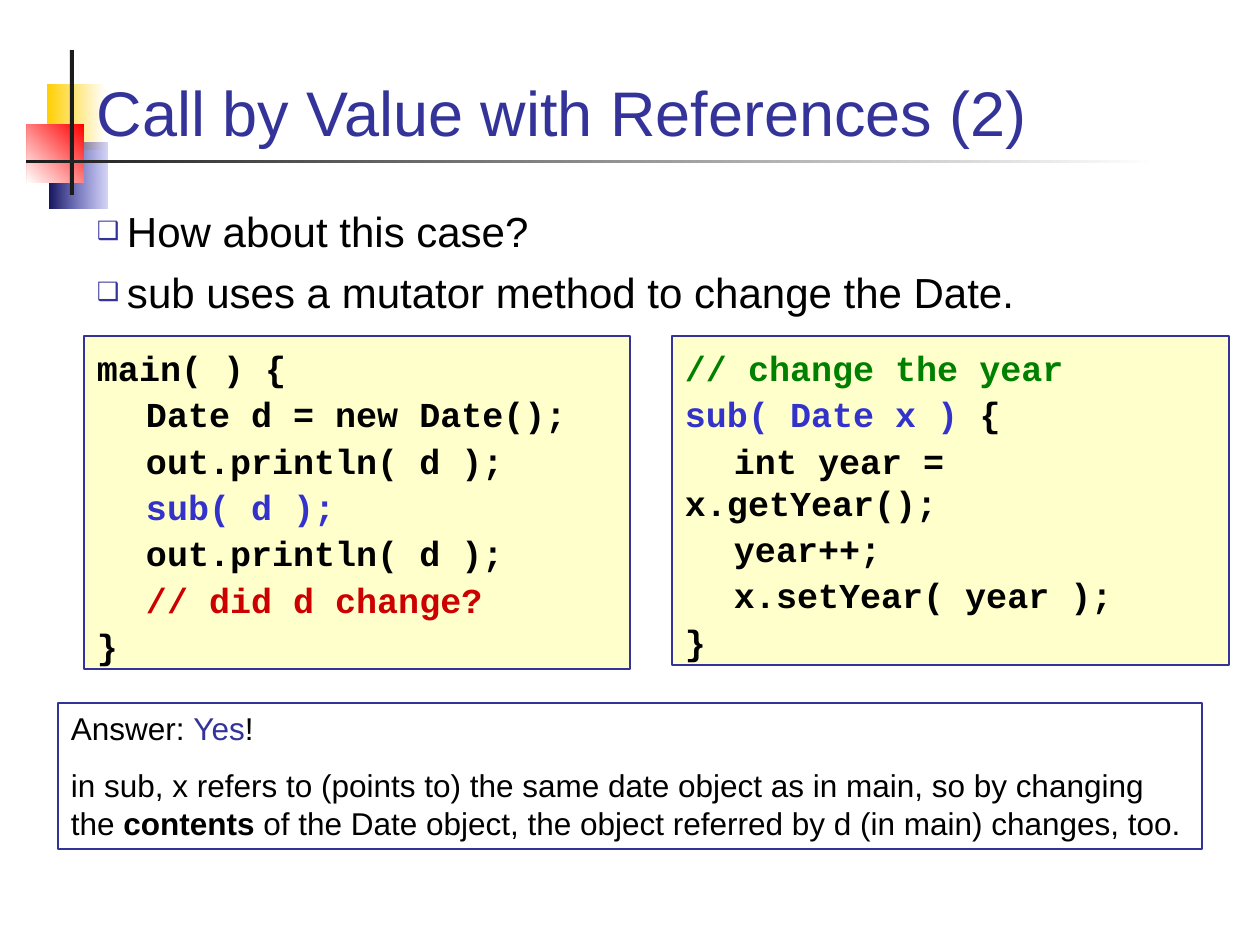
from lxml.etree import SubElement
from pptx import Presentation
from pptx.dml.color import RGBColor
from pptx.enum.shapes import MSO_SHAPE
from pptx.enum.text import MSO_ANCHOR, MSO_AUTO_SIZE, PP_ALIGN
from pptx.oxml.ns import qn
from pptx.util import Emu, Pt

THEME = {
    "navy": "333399", "black": "000000", "cream": "FFFFCC",
    "call": "3333CC", "comment": "008000", "question": "CC0000",
    "white": "FFFFFF", "gold": "FFCF01", "deep": "17175E",
    "red": "FF0000", "bar": "1C1C1C",
    "sans": "Arial", "mono": "Courier New",
    "title_size": 36, "body_size": 24, "code_size": 20, "answer_size": 18,
}
PX_PER_INCH = 126
SLIDE_SIZE = (1260, 945)
INSET_X, INSET_Y, INDENT, TAB = 13, 6, 30, 49

# A run is plain text, or (text, colour) or (text, colour, bold).
TITLE = [["Call by Value with References (2)"]]
BODY = [
    ["How about this case?"],
    ["sub uses a mutator method to change the Date."],
]
MAIN_CODE = [
    ["main( ) {"],
    ["\tDate d = new Date();"],
    ["\tout.println( d );"],
    ["\t", ("sub( d );", "call")],
    ["\tout.println( d );"],
    ["\t", ("// did d change?", "question")],
    ["}"],
]
SUB_CODE = [
    [("// change the year", "comment")],
    [("sub( Date x )", "call"), " {"],
    ["\tint year = x.getYear();"],
    ["\tyear++;"],
    ["\tx.setYear( year );"],
    ["}"],
]
ANSWER = [
    ["Answer: ", ("Yes", "navy"), "!"],
    ["in sub, x refers to (points to) the same date object as in main, so by changing the ",
     ("contents", "black", True),
     " of the Date object, the object referred by d (in main) changes, too."],
]

# Box, start colour, end colour, clockwise angle, opacity of the start in percent
ORNAMENTS = [
    ((47, 84, 59, 66), "white", "gold", 180, 100),
    ((49, 143, 58, 66), "call", "deep", 180, 20),
    ((27, 124, 57, 59), "red", "white", 135, 100),
    ((70, 50, 4, 145), "bar", "bar", 180, 100),
    ((26, 160, 1133, 3), "white", "bar", 180, 100),
]
CODE_STYLE = {"font": "mono", "size": "code_size", "bold": True, "gap": 2.5}
PANELS = [
    ((84, 336, 546, 333), "cream", MAIN_CODE, CODE_STYLE),
    ((672, 336, 557, 329), "cream", SUB_CODE, CODE_STYLE),
    ((58, 703, 1144, 146), None, ANSWER,
     {"font": "sans", "size": "answer_size", "gap": 11.2, "lead": 0}),
]


def px(length):
    return Emu(round(length * 914400 / PX_PER_INCH))


def colour(name):
    return RGBColor.from_string(THEME[name])


def place(shape, box):
    for side, length in zip(("left", "top", "width", "height"), box):
        setattr(shape, side, px(length))


def add_rectangle(slide, box):
    shape = slide.shapes.add_shape(MSO_SHAPE.RECTANGLE, *map(px, box))
    shape.shadow.inherit = False
    return shape


def add_ornament(slide, box, start, end, angle, opacity):
    shape = add_rectangle(slide, box)
    shape.line.fill.background()
    if start == end:
        shape.fill.solid()
        shape.fill.fore_color.rgb = colour(start)
        return
    shape.fill.gradient()
    shape.fill.gradient_angle = (360 - angle) % 360
    for stop, name in zip(shape.fill.gradient_stops, (start, end)):
        stop.color.rgb = colour(name)
    if opacity < 100:
        first = next(shape.element.iter(qn("a:srgbClr")))
        SubElement(first, qn("a:alpha"), val=str(opacity * 1000))


def add_bullet(paragraph):
    properties = paragraph._p.get_or_add_pPr()
    properties.set("marL", str(px(INDENT)))
    properties.set("indent", str(-px(INDENT)))
    bullet_colour = SubElement(properties, qn("a:buClr"))
    SubElement(bullet_colour, qn("a:srgbClr"), val=THEME["navy"])
    SubElement(properties, qn("a:buSzPct"), val="60000")
    SubElement(properties, qn("a:buChar"), char="❑")


def add_tab(paragraph):
    tabs = SubElement(paragraph._p.get_or_add_pPr(), qn("a:tabLst"))
    SubElement(tabs, qn("a:tab"), pos=str(px(TAB)), algn="l")


def write(shape, paragraphs, font, size, color="black", bold=False, gap=0,
          lead=None, anchor=MSO_ANCHOR.TOP, bullets=False):
    """Fill the shape; lead is the extra inset in points above the first line."""
    frame = shape.text_frame
    lead = gap if lead is None else lead
    settings = {
        "word_wrap": True, "auto_size": MSO_AUTO_SIZE.NONE,
        "vertical_anchor": anchor,
        "margin_left": px(INSET_X), "margin_right": px(INSET_X),
        "margin_top": px(INSET_Y) + Pt(lead), "margin_bottom": px(INSET_Y),
    }
    for name, value in settings.items():
        setattr(frame, name, value)
    for index, runs in enumerate(paragraphs):
        paragraph = frame.add_paragraph() if index else frame.paragraphs[0]
        if bullets:
            add_bullet(paragraph)
        if "\t" in runs[0]:
            add_tab(paragraph)
        paragraph.alignment = PP_ALIGN.LEFT
        paragraph.space_before = Pt(gap if index else 0)
        for item in runs:
            parts = (item,) if isinstance(item, str) else item
            text, tint, heavy = parts + (None, color, bold)[len(parts):]
            run = paragraph.add_run()
            run.text = text
            for name, value in {"name": THEME[font], "size": Pt(THEME[size]),
                                "bold": heavy}.items():
                setattr(run.font, name, value)
            run.font.color.rgb = colour(tint)


def add_panel(slide, box, fill, paragraphs, style):
    shape = add_rectangle(slide, box)
    if fill:
        shape.fill.solid()
        shape.fill.fore_color.rgb = colour(fill)
    else:
        shape.fill.background()
    shape.line.color.rgb = colour("navy")
    shape.line.width = Pt(0.75)
    write(shape, paragraphs, **style)


def main():
    presentation = Presentation()
    presentation.slide_width, presentation.slide_height = map(px, SLIDE_SIZE)
    slide = presentation.slides.add_slide(presentation.slide_layouts[1])
    title, body = slide.placeholders

    for ornament in ORNAMENTS:
        add_ornament(slide, *ornament)
    for placeholder in (title, body):  # bring the text in front of the ornaments
        slide.shapes.element.append(placeholder.element)

    place(title, (84, 35, 1091, 120))
    write(title, TITLE, "sans", "title_size", "navy", anchor=MSO_ANCHOR.BOTTOM)
    place(body, (84, 189, 1091, 147))
    write(body, BODY, "sans", "body_size", gap=6, bullets=True)
    for panel in PANELS:
        add_panel(slide, *panel)
    presentation.save("out.pptx")


if __name__ == "__main__":
    main()
